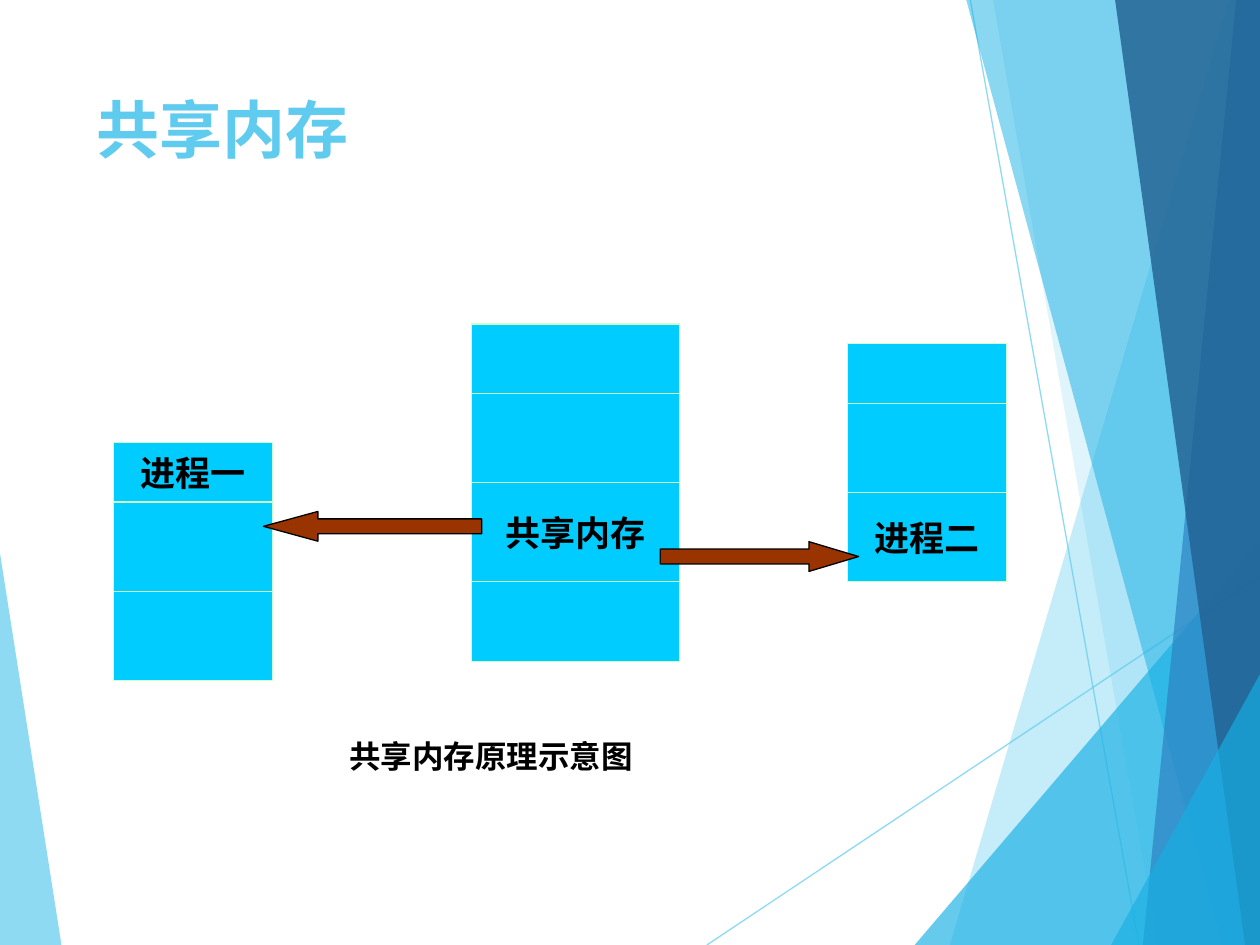
from lxml.etree import SubElement
from pptx import Presentation
from pptx.dml.color import RGBColor
from pptx.enum.shapes import MSO_CONNECTOR as Connector, MSO_SHAPE as Shape
from pptx.enum.text import MSO_ANCHOR as Anchor, PP_ALIGN as Align
from pptx.oxml.ns import qn
from pptx.util import Cm, Pt

WIDTH, HEIGHT = 25.4, 19.05
FONT = "Noto Sans CJK SC"
SKY, AZURE = "5FCBEF", "17B0E4"

LEFT_FACET = [(0, 11.15), (1.24, HEIGHT), (0, HEIGHT)]
RIGHT_FACETS = [
    ((24.77, 0), (19.15, HEIGHT), SKY, 36),
    ((20.02, 0), (23.34, HEIGHT), SKY, 20),
    ((WIDTH, 10.9), (18.44, HEIGHT), AZURE, 66),
    ((19.48, 0), (24.64, HEIGHT), AZURE, 50),
    ((24.92, 0), (23.04, HEIGHT), "2E83C3", 70),
    ((22.48, 0), (25.1, HEIGHT), "226292", 82),
    ((WIDTH, 13.59), (22.4, HEIGHT), AZURE, 66),
]
RAYS = [((14.25, HEIGHT), (WIDTH, 11.61)), ((19.56, 0), (22.96, HEIGHT))]

MEMORY_COLUMNS = [
    (2.29, 8.92, 3.2, [(1.2, "进程一"), (1.8, ""), (1.8, "")]),
    (17.09, 6.93, 3.2, [(1.2, ""), (1.8, ""), (1.8, "进程二")]),
    (9.5, 6.53, 4.2, [(1.4, ""), (1.8, ""), (2, "共享内存"), (1.6, "")]),
]
ARROWS = [(13.31, 10.92, 4, 0, 1.67), (5.31, 10.31, 4.4, 180, 1.83)]


def rgb(code):
    return RGBColor.from_string(code)


def assign(target, formats):
    for name, value in formats.items():
        setattr(target, name, value)


def set_alpha(fill, percent):
    color = fill._xPr.find(".//" + qn("a:srgbClr"))
    SubElement(color, qn("a:alpha"), val=str(percent * 1000))


def paint(shape, fill, outline=None):
    shape.shadow.inherit = False
    shape.fill.solid()
    shape.fill.fore_color.rgb = rgb(fill)
    if outline:
        shape.line.color.rgb = rgb(outline)
        shape.line.width = Pt(0.75)
    else:
        shape.line.fill.background()


def write(shape, text, size, color, align, frame_formats):
    frame = shape.text_frame
    assign(frame, frame_formats)
    paragraph = frame.paragraphs[0]
    paragraph.alignment = align
    run = paragraph.add_run()
    run.text = text
    assign(run.font, {"size": Pt(size), "bold": True, "name": FONT})
    run.font.color.rgb = rgb(color)
    SubElement(run.font._element, qn("a:ea"), typeface=FONT)


def add_facet(slide, corners, color, alpha):
    points = [(Cm(x), Cm(y)) for x, y in corners]
    outline = slide.shapes.build_freeform(*points[0])
    outline.add_line_segments(points[1:], close=True)
    facet = outline.convert_to_shape()
    paint(facet, color)
    set_alpha(facet.fill, alpha)


def add_ray(slide, start, end):
    ray = slide.shapes.add_connector(
        Connector.STRAIGHT, *[Cm(v) for v in start + end])
    ray.line.color.rgb = rgb(SKY)
    ray.line.width = Pt(0.75)
    set_alpha(ray.line.fill, 70)
    SubElement(ray._element.spPr, qn("a:effectLst"))


def add_column(slide, left, top, width, blocks):
    for height, label in blocks:
        block = slide.shapes.add_shape(
            Shape.RECTANGLE, Cm(left), Cm(top), Cm(width), Cm(height))
        paint(block, "00CCFF", "CCFFCC")
        if label:
            write(block, label, 20, "000000", Align.CENTER,
                  {"word_wrap": False, "vertical_anchor": Anchor.MIDDLE})
        top += height


def add_arrow(slide, left, top, width, rotation, head):
    arrow = slide.shapes.add_shape(
        Shape.RIGHT_ARROW, Cm(left), Cm(top), Cm(width), Cm(0.6))
    arrow.rotation = rotation
    arrow.adjustments[0] = 0.5
    arrow.adjustments[1] = head
    paint(arrow, "993300", "000000")


def add_title(slide, text):
    title = slide.shapes.title
    assign(title, {"left": Cm(1.7), "top": Cm(1.7),
                   "width": Cm(17.63), "height": Cm(3.66)})
    write(title, text, 36, SKY, Align.LEFT,
          {"word_wrap": True, "vertical_anchor": Anchor.TOP})


def add_caption(slide, text):
    caption = slide.shapes.add_textbox(Cm(6.5), Cm(14.73), Cm(11.6), Cm(1.27))
    write(caption, text, 18, "000000", Align.LEFT,
          {"word_wrap": True, "margin_left": Cm(0.54)})


def main():
    deck = Presentation()
    assign(deck, {"slide_width": Cm(WIDTH), "slide_height": Cm(HEIGHT)})
    slide = deck.slides.add_slide(deck.slide_layouts[5])

    add_facet(slide, LEFT_FACET, SKY, 70)
    for start, end in RAYS:
        add_ray(slide, start, end)
    for upper, lower, color, alpha in RIGHT_FACETS:
        corners = [upper, lower, (WIDTH, HEIGHT)]
        if upper[0] < WIDTH:
            corners.append((WIDTH, 0))
        add_facet(slide, corners, color, alpha)

    for column in MEMORY_COLUMNS:
        add_column(slide, *column)
    for arrow in ARROWS:
        add_arrow(slide, *arrow)
    add_caption(slide, "共享内存原理示意图")
    add_title(slide, "共享内存")
    deck.save("out.pptx")


main()
